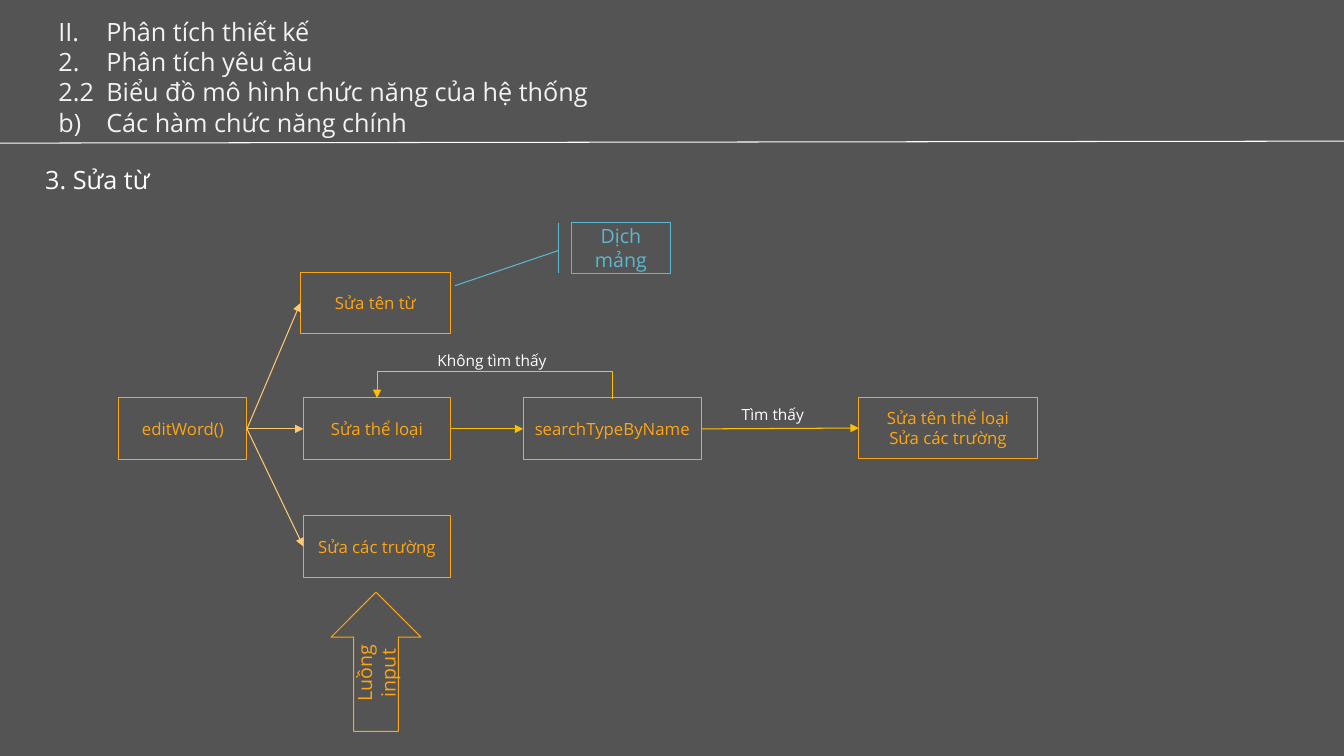
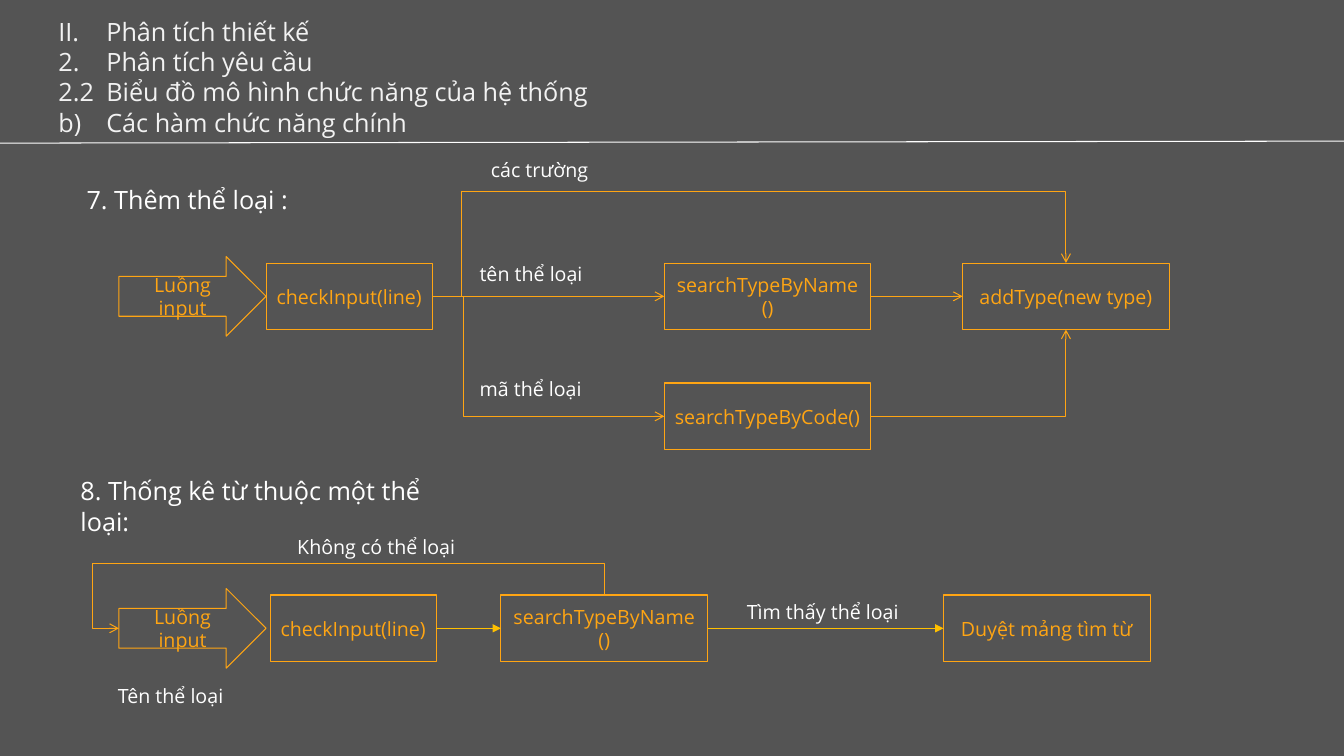
from dataclasses import dataclass
from typing import NamedTuple, Optional

from lxml.etree import SubElement
from pptx import Presentation
from pptx.dml.color import RGBColor as Color
from pptx.enum.shapes import MSO_CONNECTOR as Line, MSO_SHAPE as Preset
from pptx.enum.text import MSO_ANCHOR as Anchor, MSO_AUTO_SIZE as AutoSize, PP_ALIGN as Align
from pptx.oxml.ns import qn
from pptx.shapes.autoshape import Shape
from pptx.shapes.connector import Connector
from pptx.slide import Slide
from pptx.text.text import TextFrame
from pptx.util import Inches, Pt

COLUMNS, ROWS = 80, 45
SLIDE_WIDTH, SLIDE_HEIGHT = Inches(13.33), Inches(7.5)
TOP, LEFT, BOTTOM, RIGHT = range(4)
TITLE_ONLY = 5


@dataclass(frozen=True)
class Theme:
    font: str = "Open Sans"
    background: Color = Color.from_string("545454")
    white: Color = Color.from_string("FFFFFF")
    title: Color = Color.from_string("F2F2F2")
    orange: Color = Color.from_string("FFA513")
    pale: Color = Color.from_string("FFC971")
    gold: Color = Color.from_string("FFC000")
    blue: Color = Color.from_string("5BB8D1")
    heading_size: int = 18
    large_size: int = 14
    small_size: int = 12
    note_size: int = 11
    stroke: float = 0.75


THEME = Theme()

TITLE_LINES = (
    ("II.", "Phân tích thiết kế"),
    ("2.", "Phân tích yêu cầu"),
    ("2.2", "Biểu đồ mô hình chức năng của hệ thống"),
    ("b)", "Các hàm chức năng chính"),
)


class Point(NamedTuple):
    column: float
    row: float


@dataclass(frozen=True)
class Block:
    """A preset shape, placed by its left column and the row of its centre."""
    text: str
    left: float
    middle: float
    width: float
    height: float
    size: int = THEME.large_size
    color: Color = THEME.orange
    preset: Preset = Preset.RECTANGLE
    rotation: int = 0

    def side(self, side: int) -> Point:
        across = {LEFT: 0, RIGHT: 1}.get(side, 0.5)
        down = {TOP: -0.5, BOTTOM: 0.5}.get(side, 0)
        return Point(self.left + across * self.width, self.middle + down * self.height)


@dataclass(frozen=True)
class Label:
    text: str
    left: float
    top: float
    width: float
    size: int = THEME.large_size


def small_box(text: str, left: float, middle: float, width: float) -> Block:
    return Block(text, left, middle, width, 3.68, THEME.small_size)


def large_box(text: str, left: float, middle: float, width: float = 12.3) -> Block:
    return Block(text, left, middle, width, 3.96)


def input_arrow(middle: float) -> Block:
    return Block("Luồng input", 7.08, middle, 8.76, 4.74, preset=Preset.RIGHT_ARROW)


def across(columns: float) -> int:
    return round(columns * SLIDE_WIDTH / COLUMNS)


def down(rows: float) -> int:
    return round(rows * SLIDE_HEIGHT / ROWS)


def fill_text(frame: TextFrame, text: str, size: int, color: Color, align: Align) -> None:
    frame.text = text
    frame.word_wrap = True
    for paragraph in frame.paragraphs:
        paragraph.alignment = align
        for run in paragraph.runs:
            run.font.name = THEME.font
            run.font.size = Pt(size)
            run.font.color.rgb = color


def add_block(slide: Slide, block: Block) -> Shape:
    shape = slide.shapes.add_shape(
        block.preset, across(block.left), down(block.middle - block.height / 2),
        across(block.width), down(block.height))
    shape.shadow.inherit = False
    shape.rotation = block.rotation
    shape.fill.background()
    shape.line.color.rgb = block.color
    shape.line.width = Pt(THEME.stroke)
    fill_text(shape.text_frame, block.text, block.size, block.color, Align.CENTER)
    shape.text_frame.vertical_anchor = Anchor.MIDDLE
    return shape


def add_label(slide: Slide, label: Label) -> None:
    height = down(label.size * 0.125)
    box = slide.shapes.add_textbox(across(label.left), down(label.top), across(label.width), height)
    fill_text(box.text_frame, label.text, label.size, THEME.white, Align.LEFT)


def style_line(connector: Connector, color: Color, head: Optional[str] = None) -> None:
    connector.line.color.rgb = color
    connector.line.width = Pt(THEME.stroke)
    if head:
        SubElement(connector.line._get_or_add_ln(), qn("a:tailEnd"), type=head)
    SubElement(connector._element.spPr, qn("a:effectLst"))


def join(slide: Slide, start: Shape, end: Shape, color: Color, head: str = "triangle") -> None:
    """Draw a straight arrow from the right side of one box to the left side of another."""
    connector = slide.shapes.add_connector(Line.STRAIGHT, 0, 0, 0, 0)
    connector.begin_connect(start, RIGHT)
    connector.end_connect(end, LEFT)
    style_line(connector, color, head)


def add_elbow(slide: Slide, start: Point, end: Point, bends: tuple[float, ...], color: Color,
              head: str = "arrow", upright: bool = False) -> None:
    """Draw a bent arrow; bends are the columns and rows, in turn, where it changes direction.

    An upright arrow leaves its start vertically, so its frame is turned by 270 degrees.
    """
    x, y = across(start.column), down(start.row)
    dx, dy = across(end.column) - x, down(end.row) - y
    if upright:
        center_x, center_y = x + dx / 2, y + dy / 2
        ends = (center_x + dy / 2, center_y - dx / 2, center_x - dy / 2, center_y + dx / 2)
    else:
        ends = (x, y, x + dx, y + dy)
    connector = slide.shapes.add_connector(Line.ELBOW, *map(round, ends))
    properties = connector._element.spPr
    if upright:
        properties.find(qn("a:xfrm")).set("rot", str(270 * 60000))

    geometry = properties.find(qn("a:prstGeom"))
    geometry.set("prst", f"bentConnector{len(bends) + 2}")
    guides = geometry.find(qn("a:avLst"))
    if guides is None:
        guides = SubElement(geometry, qn("a:avLst"))
    for index, bend in enumerate(bends):
        if (index % 2 == 0) == upright:
            share = (down(bend) - y) / dy
        else:
            share = (across(bend) - x) / dx
        SubElement(guides, qn("a:gd"), name=f"adj{index + 1}" if len(bends) else "adj",
                   fmla=f"val {round(share * 100000)}")
    style_line(connector, color, head)


def add_titled_slide(presentation: Presentation) -> Slide:
    slide = presentation.slides.add_slide(presentation.slide_layouts[TITLE_ONLY])
    title = slide.shapes.title
    title.left, title.top = across(2.88), down(0.66)
    title.width, title.height = across(63.06), down(7.86)
    frame = title.text_frame
    text = "\n".join("\t".join(line) for line in TITLE_LINES)
    fill_text(frame, text, THEME.heading_size, THEME.title, Align.LEFT)
    frame.auto_size = AutoSize.NONE
    frame.vertical_anchor = Anchor.TOP
    for paragraph in frame.paragraphs:
        stops = SubElement(paragraph._p.get_or_add_pPr(), qn("a:tabLst"))
        SubElement(stops, qn("a:tab"), pos=str(across(2.85)), algn="l")
    divider = slide.shapes.add_connector(Line.STRAIGHT, 0, down(8.52), SLIDE_WIDTH, down(8.4))
    style_line(divider, THEME.white)
    return slide


def build_edit_word(presentation: Presentation) -> None:
    slide = add_titled_slide(presentation)
    axis, spacing = 25.53, 7
    edit_type = small_box("Sửa thể loại", 18.06, axis, 8.76)
    search = small_box("searchTypeByName", 31.14, axis, 10.62)
    edit_word_shape = add_block(slide, small_box("editWord()", 7.08, axis, 7.62))
    edit_name_shape = add_block(slide, small_box("Sửa tên từ", 17.88, 18.04, 8.94))
    edit_type_shape = add_block(slide, edit_type)
    edit_fields_shape = add_block(
        slide, small_box("Sửa các trường", 18.06, axis + spacing, 8.76))
    search_shape = add_block(slide, search)
    result_shape = add_block(
        slide, small_box("Sửa tên thể loại\nSửa các trường", 51.12, 25.48, 10.62))

    for target in (edit_name_shape, edit_type_shape, edit_fields_shape):
        join(slide, edit_word_shape, target, THEME.pale)
    join(slide, edit_type_shape, search_shape, THEME.gold)
    join(slide, search_shape, result_shape, THEME.gold)
    top = search.side(TOP)
    add_elbow(slide, Point(top.column, top.row + 0.05), edit_type.side(TOP), (22.08,),
              THEME.gold, "triangle", upright=True)

    add_block(slide, Block("Luồng input", 18.24, 39.39, 8.28, 5.34,
                           preset=Preset.RIGHT_ARROW, rotation=270))
    callout = add_block(slide, Block("Dịch mảng", 34.02, 14.76, 5.88, 3, color=THEME.blue,
                                     preset=Preset.LINE_CALLOUT_1_BORDER_AND_ACCENT_BAR))
    for index, share in enumerate((0.55, -0.13, 1.25, -1.18)):
        callout.adjustments[index] = share
    for label in (
        Label("3. Sửa từ", 2.1, 9.48, 73.92, THEME.heading_size),
        Label("Không tìm thấy", 25.44, 20.58, 8.82, THEME.note_size),
        Label("Tìm thấy", 43.56, 23.82, 8.82, THEME.note_size),
    ):
        add_label(slide, label)


def build_add_type_and_statistics(presentation: Presentation) -> None:
    slide = add_titled_slide(presentation)

    axis = 17.64
    check = large_box("checkInput(line)", 15.84, axis, 9.9)
    search_code = large_box("searchTypeByCode()", 39.54, 24.78)
    add_type = large_box("addType(new type)", 57.3, axis)
    add_block(slide, input_arrow(axis))
    check_shape = add_block(slide, check)
    search_shape = add_block(slide, large_box("searchTypeByName()", 39.54, axis))
    add_block(slide, search_code)
    add_type_shape = add_block(slide, add_type)
    join(slide, check_shape, search_shape, THEME.orange, "arrow")
    join(slide, search_shape, add_type_shape, THEME.orange, "arrow")
    add_elbow(slide, check.side(RIGHT), search_code.side(LEFT), (27.6,), THEME.orange)
    add_elbow(slide, check.side(RIGHT), add_type.side(TOP), (27.48, 11.4), THEME.orange)
    add_elbow(slide, search_code.side(RIGHT), add_type.side(BOTTOM), (), THEME.orange)

    axis = 37.4
    arrow = input_arrow(axis)
    search = large_box("searchTypeByName()", 29.82, axis)
    add_block(slide, arrow)
    check_shape = add_block(slide, large_box("checkInput(line)", 16.08, axis, 9.9))
    search_shape = add_block(slide, search)
    browse_shape = add_block(slide, large_box("Duyệt mảng tìm từ", 56.16, axis))
    join(slide, check_shape, search_shape, THEME.gold)
    join(slide, search_shape, browse_shape, THEME.gold)
    add_elbow(slide, search.side(TOP), arrow.side(LEFT), (33.54, 5.52), THEME.orange,
              upright=True)

    for label in (
        Label("7. Thêm thể loại :", 4.56, 10.68, 13.8, THEME.heading_size),
        Label("các trường", 28.62, 9.12, 9.96),
        Label("tên thể loại", 27.96, 15.3, 10.68),
        Label("mã thể loại", 27.96, 22.14, 10.68),
        Label("8. Thống kê từ thuộc một thể loại:", 4.2, 28.02, 23.7, THEME.heading_size),
        Label("Không có thể loại", 17.1, 31.56, 13.56),
        Label("Tìm thấy thể loại", 43.86, 35.4, 13.56),
        Label("Tên thể loại", 6.42, 40.44, 9.96),
    ):
        add_label(slide, label)


def main() -> None:
    presentation = Presentation()
    presentation.slide_width, presentation.slide_height = SLIDE_WIDTH, SLIDE_HEIGHT
    background = presentation.slide_master.background.fill
    background.solid()
    background.fore_color.rgb = THEME.background
    build_edit_word(presentation)
    build_add_type_and_statistics(presentation)
    presentation.save("out.pptx")


if __name__ == "__main__":
    main()
